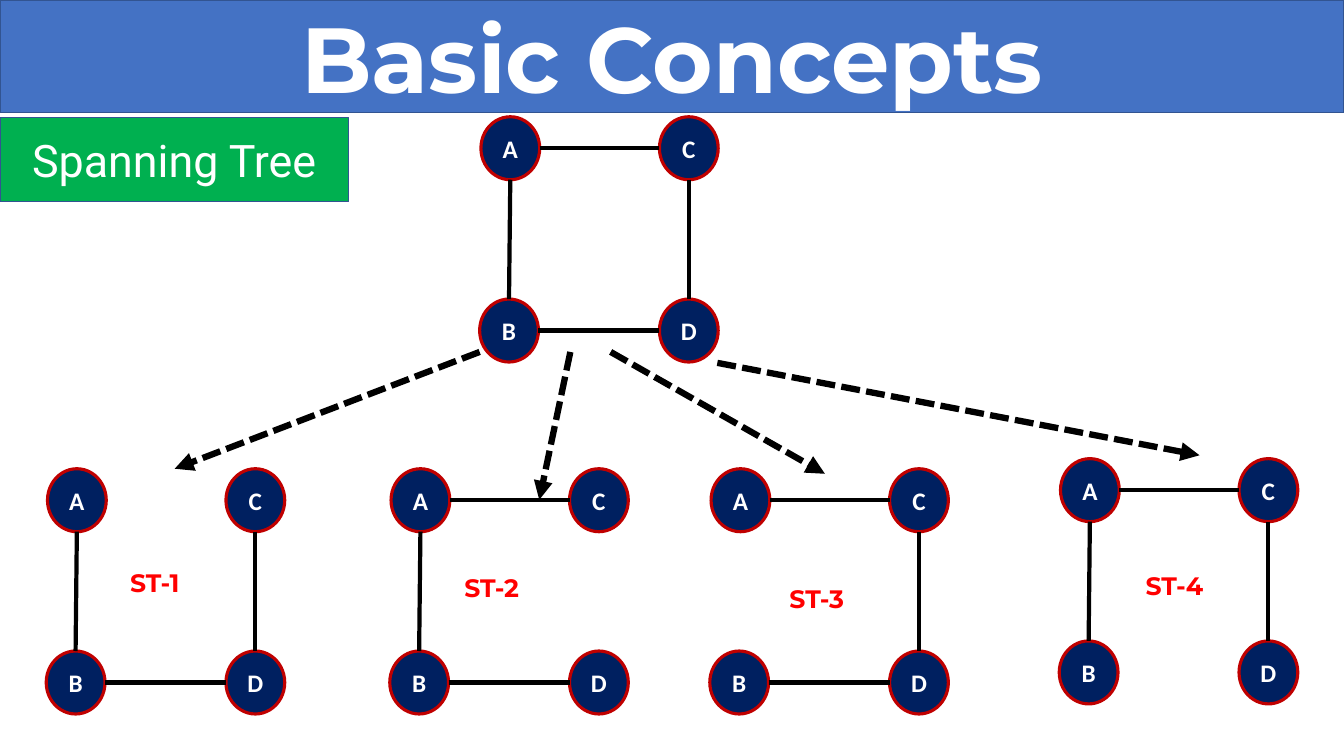
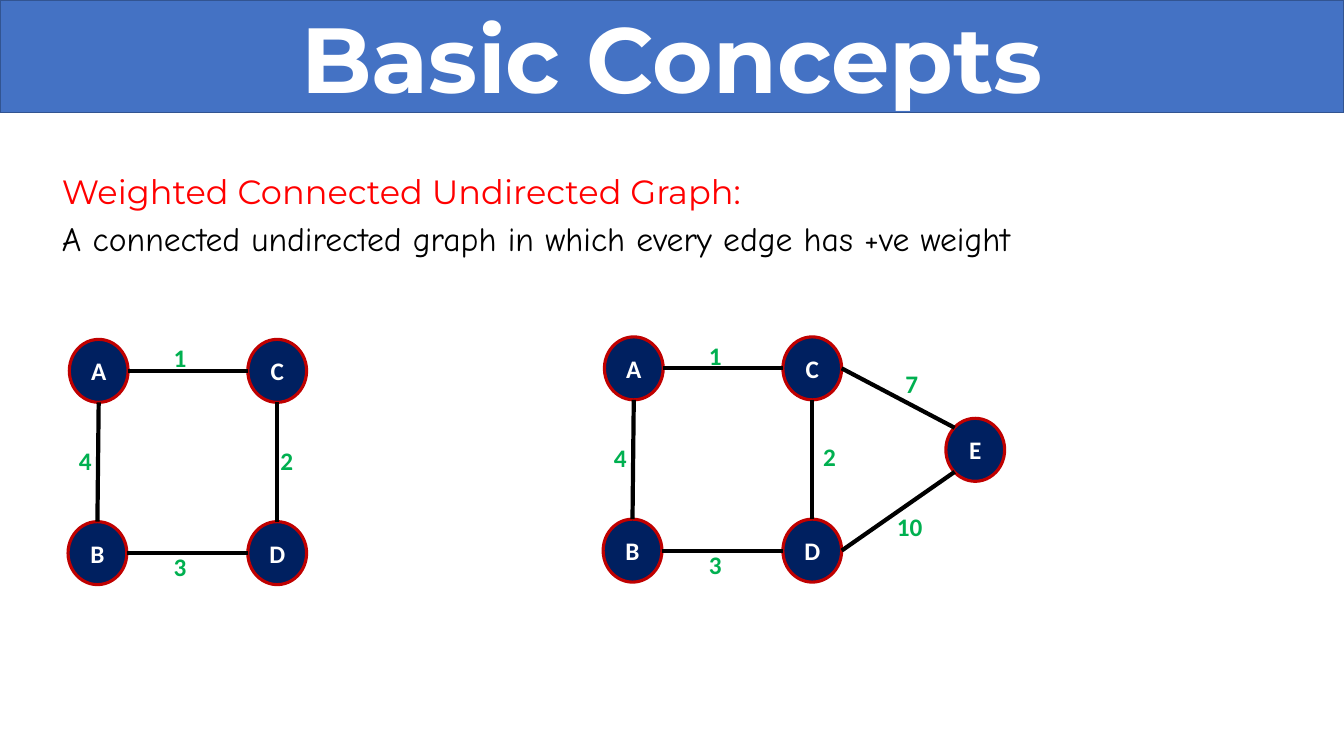
from lxml.etree import SubElement
from pptx import Presentation
from pptx.dml.color import RGBColor
from pptx.enum.dml import MSO_LINE as Dash
from pptx.enum.shapes import MSO_CONNECTOR as Link, MSO_SHAPE as Preset
from pptx.enum.text import MSO_ANCHOR as Anchor, MSO_AUTO_SIZE as Fit, PP_ALIGN as Align
from pptx.oxml.ns import qn
from pptx.util import Inches, Pt

COLUMNS, ROWS = 160, 90
CELL = Inches(13.33) / COLUMNS
BLUE, OUTLINE, GREEN = "4472C4", "325491", "00B050"
NAVY, CRIMSON, RED = "002060", "C00000", "FF0000"
BLACK, WHITE = "000000", "FFFFFF"

NODE_SIZE = (7, 7.5)
NODE_PLACES = {"A": (0.15, 0), "B": (0, 21.7), "C": (21.4, 0), "D": (21.4, 21.7), "E": (40.8, 9.7)}
TOP, UPPER_LEFT, LEFT, LOWER_LEFT, BOTTOM, RIGHT = 0, 1, 2, 3, 4, 6
SITES = {TOP: (0.5, 0), UPPER_LEFT: (0.15, 0.15), LEFT: (0, 0.5),
         LOWER_LEFT: (0.15, 0.85), BOTTOM: (0.5, 1), RIGHT: (1, 0.5)}
EDGE_SITES = {"AC": (RIGHT, LEFT), "BD": (RIGHT, LEFT), "AB": (BOTTOM, TOP),
              "CD": (BOTTOM, TOP), "CE": (RIGHT, UPPER_LEFT), "DE": (RIGHT, LOWER_LEFT)}
SQUARE = ("AC", "BD", "AB", "CD")
SQUARE_WEIGHTS = [("1", 11.4, -0.2), ("3", 11.4, 24.7), ("4", 0.1, 12)]
WEIGHT = dict(size=18, font="Calibri", color=GREEN, bold=True)
TREE_NAME = dict(size=18, font="Montserrat", color=RED, bold=True)


def rgb(value):
    """Turn a hex string into a colour."""
    return RGBColor.from_string(value)


def cells(*counts):
    """Turn grid counts into slide lengths."""
    return [round(count * CELL) for count in counts]


def write(frame, text, size, font, color, bold=False, align=Align.LEFT,
          anchor=Anchor.TOP, fit=Fit.NONE):
    """Put one formatted paragraph in a text frame."""
    frame.word_wrap = True
    frame.auto_size = fit
    frame.vertical_anchor = anchor
    paragraph = frame.paragraphs[0]
    paragraph.alignment = align
    paragraph.line_spacing = 1.0
    run = paragraph.add_run()
    run.text = text
    run.font.size, run.font.name, run.font.bold = Pt(size), font, bold
    run.font.color.rgb = rgb(color)


def paint(shape, fill, line, width):
    """Give a shape its fill and outline."""
    shape.fill.solid()
    shape.fill.fore_color.rgb = rgb(fill)
    shape.line.color.rgb = rgb(line)
    shape.line.width = Pt(width)


def panel(slide, preset, box, text, fill, line, width, **style):
    """Add a filled shape with centred white text."""
    shape = slide.shapes.add_shape(preset, *cells(*box))
    shape.shadow.inherit = False
    paint(shape, fill, line, width)
    write(shape.text_frame, text, color=WHITE, align=Align.CENTER, anchor=Anchor.MIDDLE, **style)
    return shape


def label(slide, box, text, **style):
    """Add a text box that grows with its text."""
    frame = slide.shapes.add_textbox(*cells(*box)).text_frame
    write(frame, text, fit=Fit.SHAPE_TO_FIT_TEXT, **style)


def stroke(slide, start, end, width):
    """Draw a straight black line between two points."""
    line = slide.shapes.add_connector(Link.STRAIGHT, *start, *end)
    line.line.color.rgb = rgb(BLACK)
    line.line.width = Pt(width)
    SubElement(line._element.spPr, qn("a:effectLst"))
    return line


def dashed_arrow(slide, start, end):
    """Draw a dashed arrow between two grid points."""
    arrow = stroke(slide, cells(*start), cells(*end), 4.5)
    arrow.line.dash_style = Dash.SQUARE_DOT
    SubElement(arrow.line._get_or_add_ln(), qn("a:tailEnd"), type="triangle")


def site_point(node, site):
    """Find a connection site on a node's outline."""
    across, down = SITES[site]
    return round(node.left + across * node.width), round(node.top + down * node.height)


def edge(slide, nodes, pair):
    """Join two nodes by a line attached to both."""
    ends = [(nodes[name], site) for name, site in zip(pair, EDGE_SITES[pair])]
    line = stroke(slide, *[site_point(*end) for end in ends], 3)
    joins = line._element.find(qn("p:nvCxnSpPr")).find(qn("p:cNvCxnSpPr"))
    for tag, (node, site) in zip(("a:stCxn", "a:endCxn"), ends):
        SubElement(joins, qn(tag), id=str(node.shape_id), idx=str(site))


def graph(slide, left, top, edges, labels=(), label_width=7, **label_style):
    """Draw a graph and its labels relative to its top left cell."""
    nodes = {}
    for name in sorted(set("".join(edges))):
        column, row = NODE_PLACES[name]
        nodes[name] = panel(slide, Preset.OVAL, (left + column, top + row, *NODE_SIZE), name,
                            NAVY, CRIMSON, 2.25, size=18, font="Calibri", bold=True)
    for pair in edges:
        edge(slide, nodes, pair)
    for text, column, row in labels:
        label(slide, (left + column, top + row, label_width, 4.8), text, **label_style)


def titled_slide(deck):
    """Add a slide whose title fills the blue band."""
    slide = deck.slides.add_slide(deck.slide_layouts[5])
    title = slide.shapes.title
    title.left, title.top, title.width, title.height = cells(0, 0, COLUMNS, 13.4)
    paint(title, BLUE, OUTLINE, 1)
    write(title.text_frame, "Basic Concepts", size=66, font="Montserrat", color=WHITE,
          bold=True, align=Align.CENTER, anchor=Anchor.MIDDLE)
    return slide


def spanning_tree_slide(deck):
    """Show a square graph and its four spanning trees."""
    slide = titled_slide(deck)
    panel(slide, Preset.RECTANGLE, (0, 14, 41.5, 10), "Spanning Tree",
          GREEN, OUTLINE, 1, size=32, font="Roboto")
    graph(slide, 57.1, 13.9, SQUARE)
    trees = [(5.5, 55.8, "AC", ("ST-1", 8.8, 11.2)), (46.4, 55.8, "CD", ("ST-2", 7.7, 11.8)),
             (84.5, 55.8, "AB", ("ST-3", 8.3, 13.1)), (126.1, 54.6, "BD", ("ST-4", 9.1, 12.7))]
    for left, top, dropped, tree_name in trees:
        kept = [pair for pair in SQUARE if pair != dropped]
        graph(slide, left, top, kept, [tree_name], label_width=9.7, **TREE_NAME)
    for start, end in [((57.1, 41.9), (20.8, 55.8)), ((67.9, 41.9), (64.2, 59.5)),
                       ((72.7, 41.9), (98.2, 56.4)), ((85.4, 43.2), (142.8, 54.2))]:
        dashed_arrow(slide, start, end)


def weighted_graph_slide(deck):
    """Define the weighted graph and show two examples."""
    slide = titled_slide(deck)
    label(slide, (6.2, 19.8, 151, 6), "Weighted Connected Undirected Graph:",
          size=24, font="Montserrat", color=RED)
    label(slide, (6.2, 25.4, 151, 6),
          "A connected undirected graph in which every edge has +ve weight",
          size=24, font="Comic Neue", color=BLACK)
    graph(slide, 8.1, 40.4, SQUARE, SQUARE_WEIGHTS + [("2", 24.1, 12)], **WEIGHT)
    graph(slide, 71.8, 40.1, SQUARE + ("CE", "DE"),
          SQUARE_WEIGHTS + [("2", 25, 11.9), ("7", 34.8, 3.2), ("10", 33.8, 20.2)], **WEIGHT)


def main():
    """Build and save the deck."""
    deck = Presentation()
    deck.slide_width, deck.slide_height = cells(COLUMNS, ROWS)
    spanning_tree_slide(deck)
    weighted_graph_slide(deck)
    deck.save("out.pptx")


if __name__ == "__main__":
    main()
